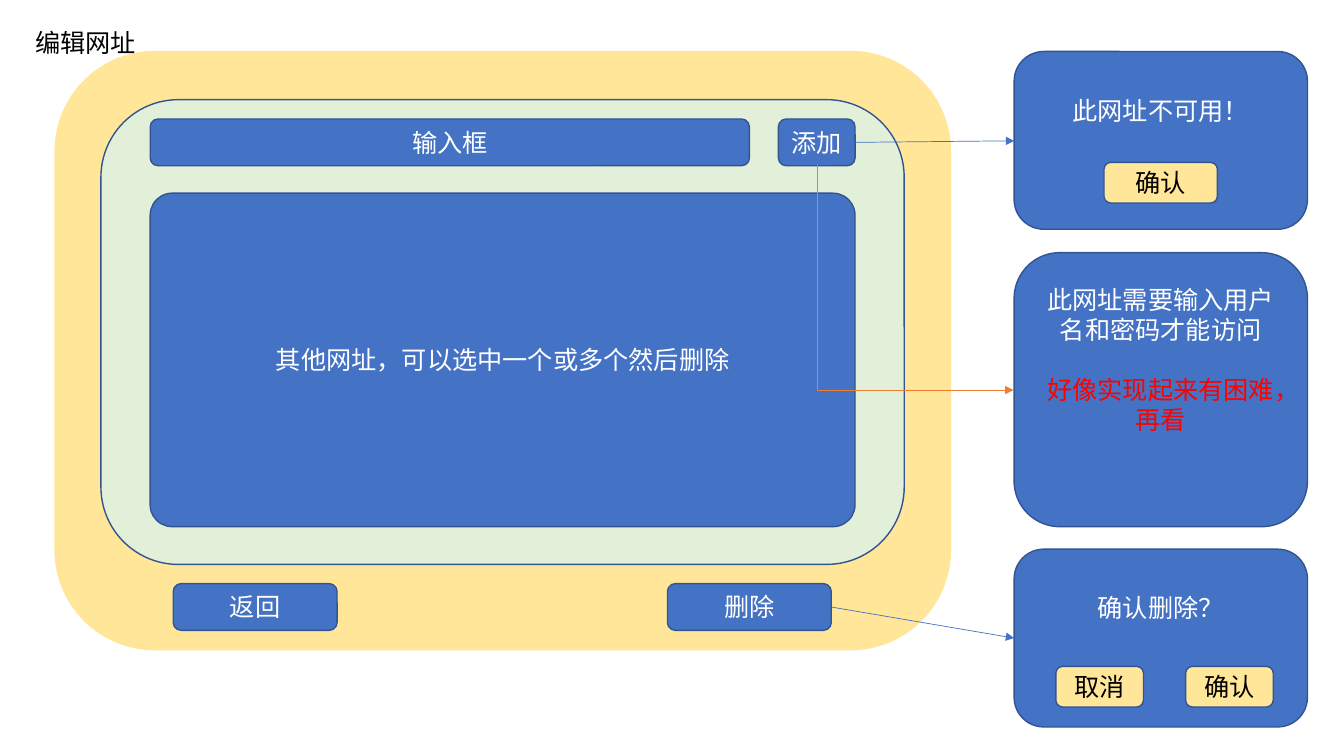
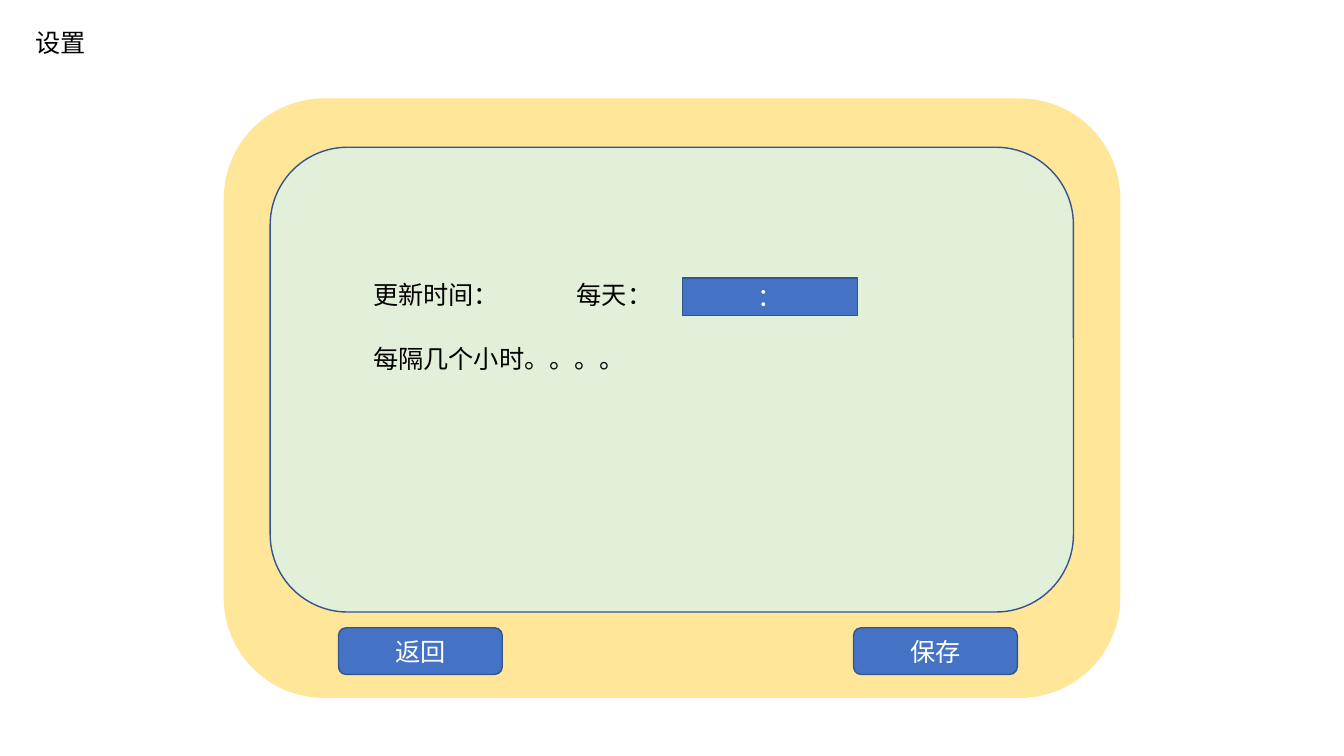
from lxml.etree import SubElement
from pptx import Presentation
from pptx.dml.color import RGBColor
from pptx.enum.shapes import MSO_CONNECTOR, MSO_SHAPE
from pptx.enum.text import MSO_ANCHOR, PP_ALIGN
from pptx.oxml.ns import qn
from pptx.util import Pt

COLORS = {
    "blue": "4472C4", "outline": "325491", "yellow": "FFE699", "green": "E2F0D9",
    "orange": "ED7D31", "red": "FF0000", "white": "FFFFFF", "black": "000000",
}
FONT = "Noto Sans CJK SC"
LINE = 21.5  # height of one line of text
BUTTON_W, BUTTON_H = 117, 33.4
PANEL_X, PANEL_W = 724.4, 209.5


def write(s, text, color, align=PP_ALIGN.LEFT):
    """Put styled text into a shape, one paragraph per line."""
    tf = s.text_frame
    tf.word_wrap = True
    tf.text = text
    for p in tf.paragraphs:
        p.alignment = align
        p.line_spacing = Pt(LINE)
        for r in p.runs:
            r.font.size = Pt(18)
            r.font.name = FONT
            r.font.color.rgb = RGBColor.from_string(COLORS[color])
            SubElement(r._r.rPr, qn("a:ea"), typeface=FONT)
    return tf


def box(slide, x, y, w, h, text="", fill="blue", line="outline",
        color="white", kind=MSO_SHAPE.ROUNDED_RECTANGLE):
    """Draw a filled box with centred text."""
    s = slide.shapes.add_shape(kind, Pt(x), Pt(y), Pt(w), Pt(h))
    s.shadow.inherit = False
    s.fill.solid()
    s.fill.fore_color.rgb = RGBColor.from_string(COLORS[fill])
    s.line.color.rgb = RGBColor.from_string(COLORS[line])
    s.line.width = Pt(1)
    if text:
        write(s, text, color, PP_ALIGN.CENTER).vertical_anchor = MSO_ANCHOR.MIDDLE
    return s


prs = Presentation()
prs.slide_width, prs.slide_height = Pt(960), Pt(540)

# Both pages: title, window frame and two buttons
pages = [
    ("编辑网址", 39.4, 36.8, 416.9, [("返回", 123.8), ("删除", 476.8)]),
    ("设置", 160.3, 70.8, 448.4, [("返回", 241.8), ("保存", 609.7)]),
]
slides = []
for title, x, y, button_y, buttons in pages:
    slide = prs.slides.add_slide(prs.slide_layouts[6])
    slides.append(slide)
    box(slide, x, y, 639.4, 427.2, fill="yellow", line="yellow")
    box(slide, x + 32.7, y + 34.4, 573.8, 332, fill="green")
    write(slide.shapes.add_textbox(Pt(18), Pt(15.9), Pt(99.4), Pt(29)), title, "black")
    for label, button_x in buttons:
        box(slide, button_x, button_y, BUTTON_W, BUTTON_H, label)
editor, settings = slides

# Address editor
box(editor, 107.3, 85, 428, BUTTON_H, "输入框")
box(editor, 556, 85, 54.8, BUTTON_H, "添加")
address_list = box(editor, 107.3, 138, 503.5, 238.2, "其他网址，可以选中一个或多个然后删除")
address_list.adjustments[0] = 0.066

panels = [
    (36.8, 127, "此网址不可用！"),
    (180.5, 195.7, "此网址需要输入用户名和密码才能访问\n好像实现起来有困难，再看"),
    (392.3, 127, "确认删除？"),
]
for y, h, text in panels:
    tf = box(editor, PANEL_X, y, PANEL_W, h, text).text_frame
    tf.margin_bottom = Pt(3.6 + 2 * LINE)
    for warning in tf.paragraphs[1:]:
        warning.space_before = Pt(LINE)
        warning.runs[0].font.color.rgb = RGBColor.from_string(COLORS["red"])
for label, x, y, w in [("确认", 788.6, 116, 81), ("取消", 754.2, 476, 62.6),
                       ("确认", 846.9, 476, 62.6)]:
    box(editor, x, y, w, 29, label, fill="yellow", color="black")

# The elbow is laid out unrotated, then turned about its centre
arrows = [
    (MSO_CONNECTOR.STRAIGHT, 610.8, 101.7, PANEL_X, 100.6, "blue"),
    (MSO_CONNECTOR.ELBOW, 734.1, 128.4, 573.7, 268.4, "orange"),
    (MSO_CONNECTOR.STRAIGHT, 593.8, 433.6, PANEL_X, 455.8, "blue"),
]
for kind, x1, y1, x2, y2, color in arrows:
    c = editor.shapes.add_connector(kind, Pt(x1), Pt(y1), Pt(x2), Pt(y2))
    c.line.width = Pt(0.5)
    c.line.color.rgb = RGBColor.from_string(COLORS[color])
    spPr = c._element.spPr
    SubElement(spPr.find(qn("a:ln")), qn("a:tailEnd"), type="triangle")
    SubElement(spPr, qn("a:effectLst"))
    if kind == MSO_CONNECTOR.ELBOW:
        spPr.find(qn("a:prstGeom")).set("prst", "bentConnector2")
        spPr.find(qn("a:xfrm")).set("rot", str(270 * 60000))

# Settings
for y, text in [(195.8, "更新时间：\t每天："), (241.9, "每隔几个小时。。。。")]:
    tf = write(settings.shapes.add_textbox(Pt(259.4), Pt(y), Pt(221), Pt(29)), text, "black")
    tabs = SubElement(tf.paragraphs[0]._p.get_or_add_pPr(), qn("a:tabLst"))
    SubElement(tabs, qn("a:tab"), pos=str(Pt(145.5)), algn="l")
box(settings, 487.4, 198.6, 125.3, 26.8, "：", kind=MSO_SHAPE.RECTANGLE)

prs.save("out.pptx")
